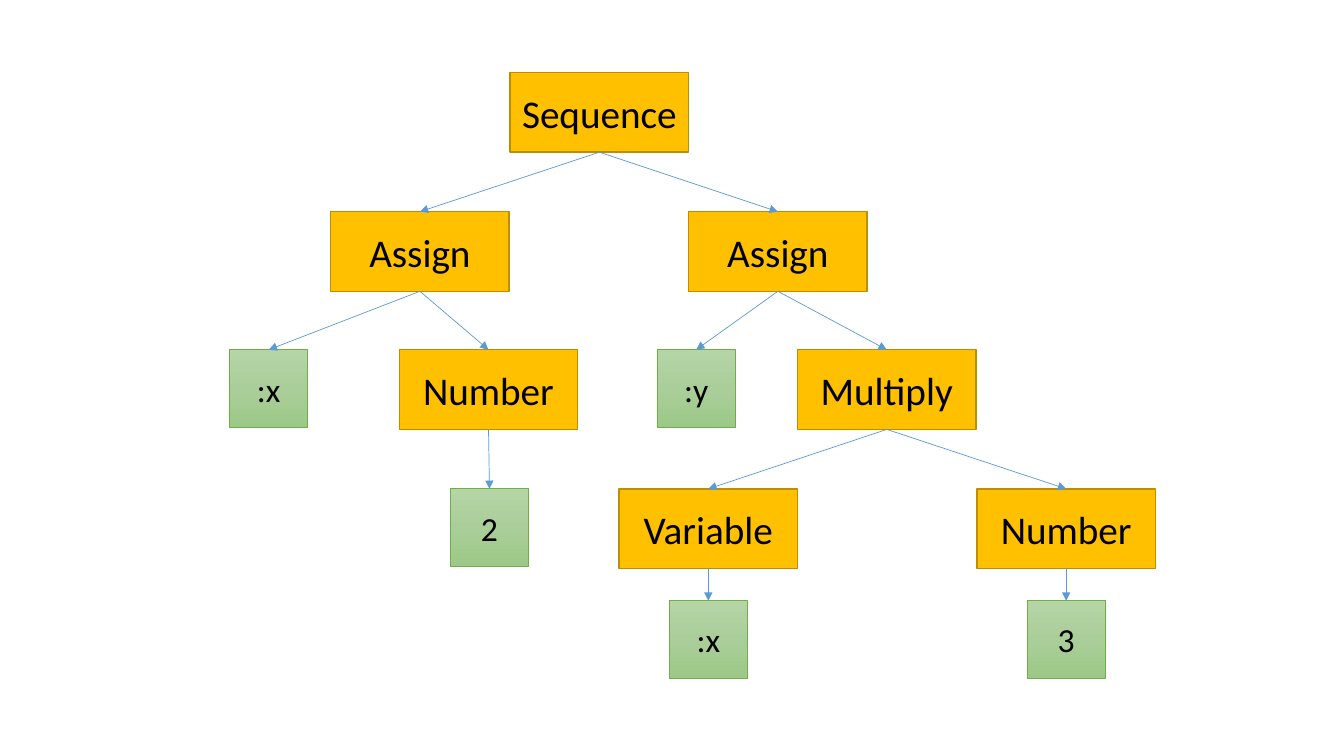
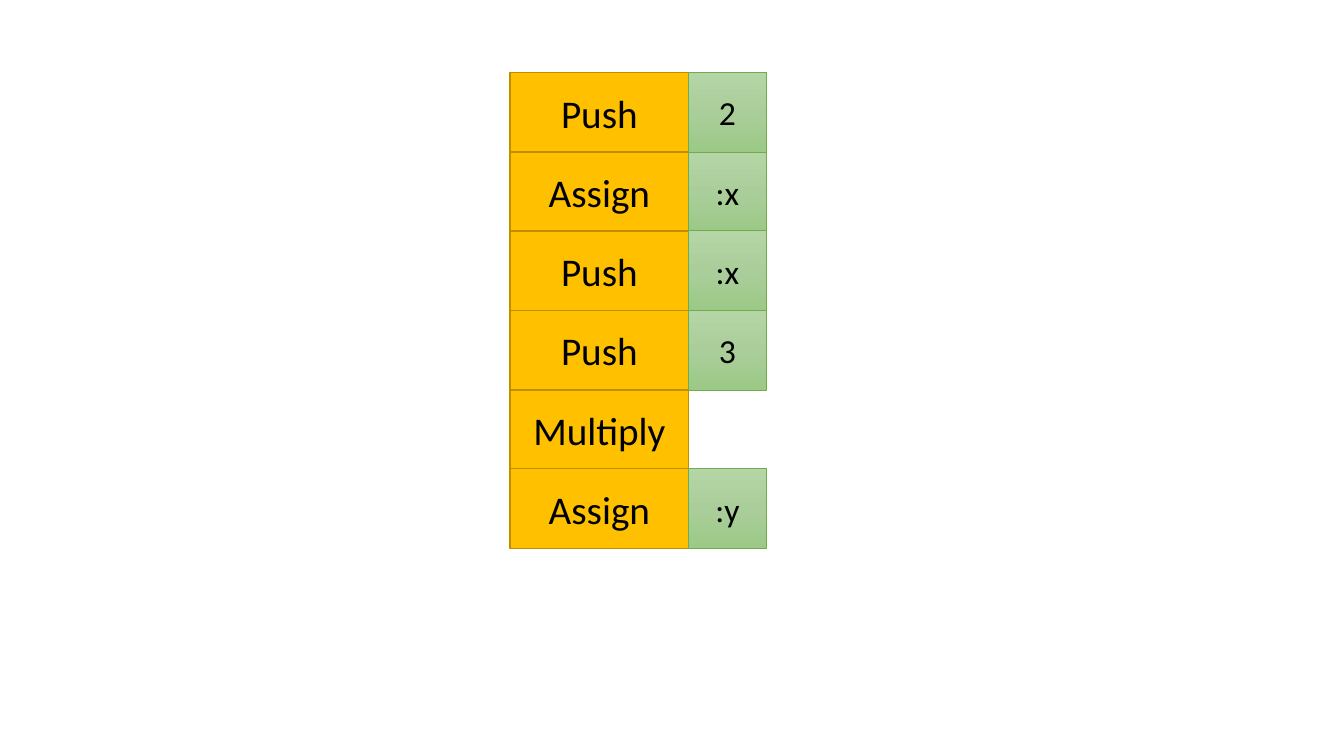
import copy

import pptx
import pptx.dml.color
import pptx.enum.shapes
import pptx.enum.text
import pptx.oxml.ns
import pptx.util

PX = 9144  # EMU per px, 100 px to the inch

AMBER = pptx.dml.color.RGBColor(0xFF, 0xC0, 0x00)
AMBER_EDGE = pptx.dml.color.RGBColor(0xBD, 0x8E, 0x00)
GREEN_TOP = pptx.dml.color.RGBColor(0xB5, 0xD5, 0xA7)
GREEN_MIDDLE = pptx.dml.color.RGBColor(0xAA, 0xCE, 0x9A)
GREEN_BOTTOM = pptx.dml.color.RGBColor(0x9C, 0xC9, 0x87)
GREEN_EDGE = pptx.dml.color.RGBColor(0x70, 0xAD, 0x47)
BLUE = pptx.dml.color.RGBColor(0x5B, 0x9B, 0xD5)
BLACK = pptx.dml.color.RGBColor(0, 0, 0)
GREENS = [(0, GREEN_TOP), (0.5, GREEN_MIDDLE), (1, GREEN_BOTTOM)]

OPERATION_WIDTH, OPERATION_HEIGHT, VALUE_SIZE = 177, 79, 77
TOP, CENTRE_LEFT = 72, 506


def add_box(slide, label, left, top, width, height, is_value):
    """Green gradient box for a value, amber box for an operation."""
    box = slide.shapes.add_shape(
        pptx.enum.shapes.MSO_SHAPE.RECTANGLE,
        left * PX, top * PX, width * PX, height * PX)
    box.shadow.inherit = False
    if is_value:
        box.fill.gradient()
        box.fill.gradient_angle = 270
        stops = box._element.spPr.find(".//" + pptx.oxml.ns.qn("a:gsLst"))
        stops.insert(1, copy.deepcopy(stops[0]))
        for stop, (position, color) in zip(box.fill.gradient_stops, GREENS):
            stop.position = position
            stop.color.rgb = color
    else:
        box.fill.solid()
        box.fill.fore_color.rgb = AMBER
    box.line.color.rgb = GREEN_EDGE if is_value else AMBER_EDGE
    box.line.width = pptx.util.Pt(0.5 if is_value else 1)
    box.text_frame.text = label
    box.text_frame.vertical_anchor = pptx.enum.text.MSO_ANCHOR.MIDDLE
    paragraph = box.text_frame.paragraphs[0]
    paragraph.alignment = pptx.enum.text.PP_ALIGN.CENTER
    font = paragraph.runs[0].font
    font.name = "Calibri"
    font.size = pptx.util.Pt(24 if is_value else 28)
    font.color.rgb = BLACK
    return box


def add_arrow(slide, parent, child):
    """Arrow from the bottom of the parent to the top of the child."""
    arrow = slide.shapes.add_connector(
        pptx.enum.shapes.MSO_CONNECTOR.STRAIGHT, 0, 0, 0, 0)
    arrow.begin_connect(parent, 2)
    arrow.end_connect(child, 0)
    arrow.line.color.rgb = BLUE
    arrow.line.width = pptx.util.Pt(0.5)
    properties = arrow._element.spPr
    line = properties.find(pptx.oxml.ns.qn("a:ln"))
    line.append(line.makeelement(
        pptx.oxml.ns.qn("a:tailEnd"), {"type": "triangle"}))
    properties.append(
        properties.makeelement(pptx.oxml.ns.qn("a:effectLst"), {}))


presentation = pptx.Presentation()
presentation.slide_width = 1333 * PX
presentation.slide_height = 750 * PX
blank = presentation.slide_layouts[6]

# Slide 1: syntax tree, as (key, parent, label, left, level, is_value)
LEVEL_TOPS = [TOP + round(413 * level / 3) for level in range(4)] + [596]
TREE = [
    ("sequence", None, "Sequence", CENTRE_LEFT, 0, False),
    ("assign x", "sequence", "Assign", 328, 1, False),
    ("assign y", "sequence", "Assign", 683, 1, False),
    ("target x", "assign x", ":x", 228, 2, True),
    ("number 2", "assign x", "Number", 396, 2, False),
    ("value 2", "number 2", "2", 447, 3, True),
    ("target y", "assign y", ":y", 652, 2, True),
    ("multiply", "assign y", "Multiply", 791, 2, False),
    ("variable", "multiply", "Variable", 614, 3, False),
    ("number 3", "multiply", "Number", 969, 3, False),
    ("name x", "variable", ":x", 664, 4, True),
    ("value 3", "number 3", "3", 1019, 4, True),
]
tree_slide = presentation.slides.add_slide(blank)
nodes = {}
for key, parent, label, left, level, is_value in TREE:
    width = VALUE_SIZE if is_value else OPERATION_WIDTH
    height = VALUE_SIZE if is_value else OPERATION_HEIGHT
    nodes[key] = add_box(tree_slide, label, left, LEVEL_TOPS[level],
                         width, height, is_value)
for key, parent, *_ in TREE:
    if parent:
        add_arrow(tree_slide, nodes[parent], nodes[key])

# Slide 2: stack of instructions with their operands
INSTRUCTIONS = [("Push", "2"), ("Assign", ":x"), ("Push", ":x"),
                ("Push", "3"), ("Multiply", None), ("Assign", ":y")]
STACK_HEIGHT = 472
stack_slide = presentation.slides.add_slide(blank)
for row, (operation, operand) in enumerate(INSTRUCTIONS):
    row_top = TOP + round(STACK_HEIGHT * row / len(INSTRUCTIONS))
    add_box(stack_slide, operation, CENTRE_LEFT, row_top,
            OPERATION_WIDTH, OPERATION_HEIGHT, False)
    if operand:
        add_box(stack_slide, operand, CENTRE_LEFT + OPERATION_WIDTH, row_top,
                VALUE_SIZE, OPERATION_HEIGHT, True)

presentation.save("out.pptx")
